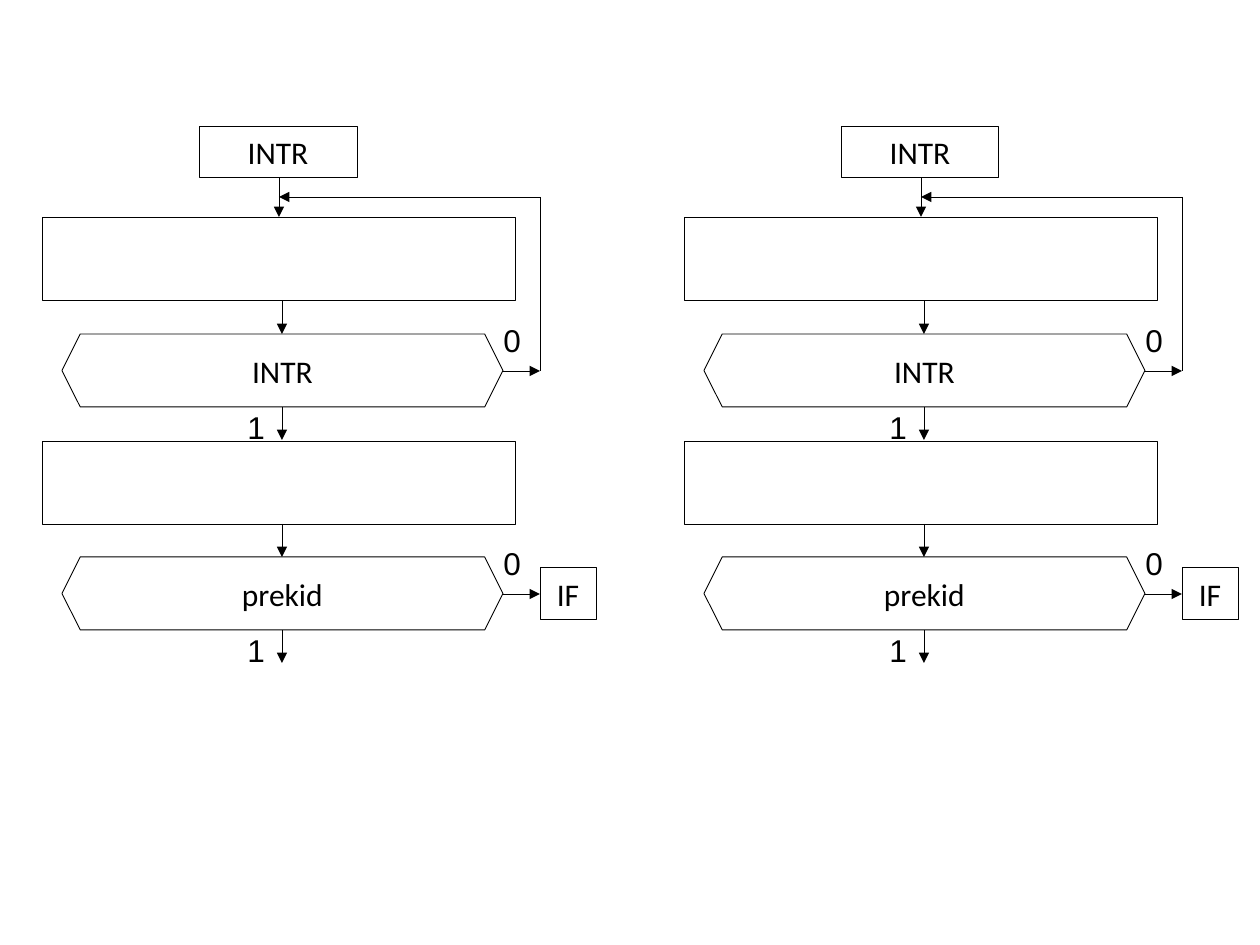
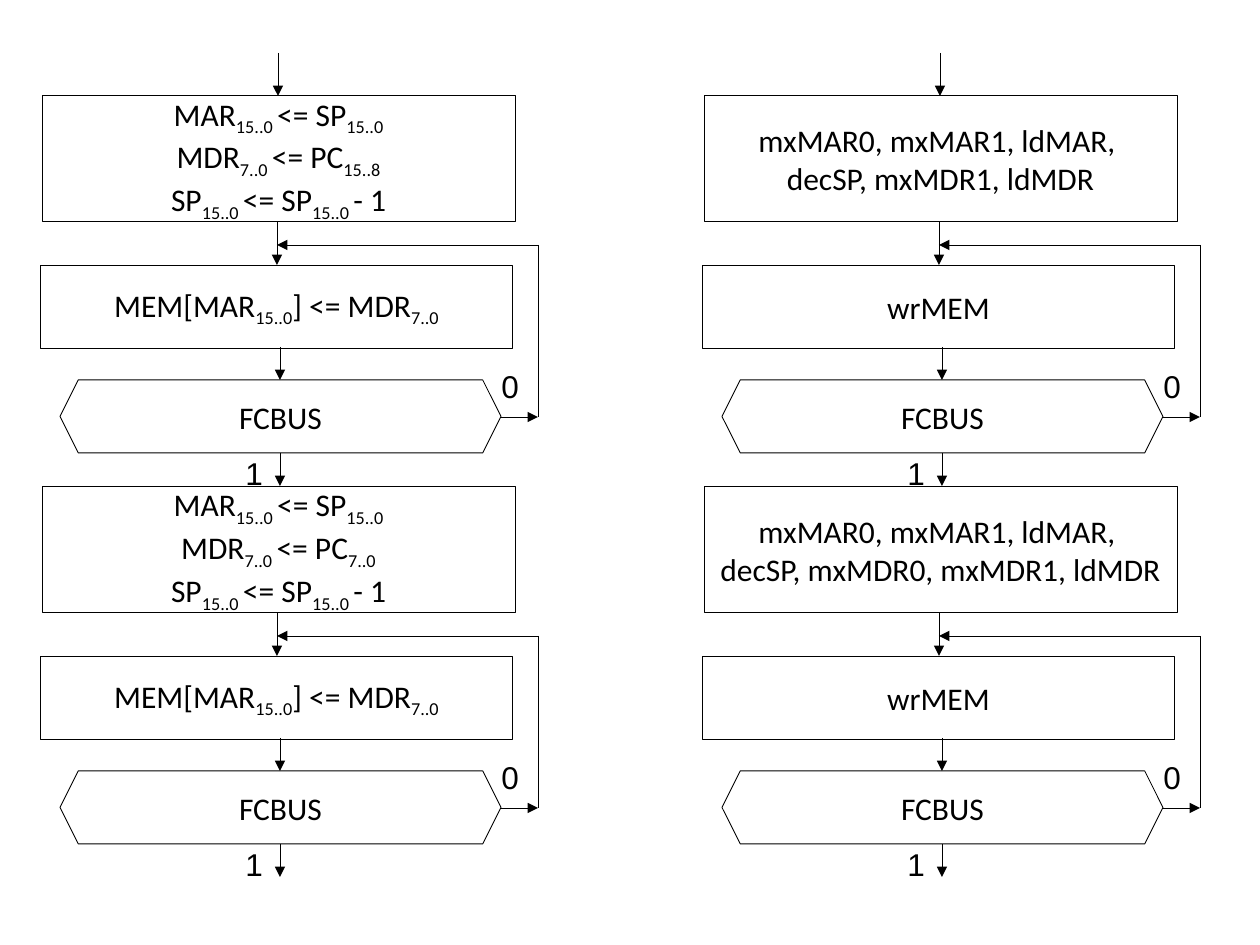
from dataclasses import dataclass

from lxml.etree import SubElement
from pptx import Presentation
from pptx.dml.color import RGBColor
from pptx.enum.shapes import MSO_CONNECTOR, MSO_SHAPE
from pptx.enum.text import MSO_ANCHOR, MSO_AUTO_SIZE, PP_ALIGN
from pptx.oxml.ns import qn
from pptx.util import Pt

BLACK = RGBColor(0x00, 0x00, 0x00)
WHITE = RGBColor(0xFF, 0xFF, 0xFF)
BOX_FONT, LABEL_FONT = "Calibri", "Arial"
FONT_SIZE, LINE_WIDTH = Pt(18), Pt(0.5)

# Sizes in pixels; x offsets count from the left corner of a column's hexagons
BOX_W, BOX_H, TALL_H = 473, 84, 126
HEX_W, HEX_H = 441, 73
SMALL_H = 52
AXIS, ENTRY = 220, 217      # main arrows, arrows entering a loop
LOOP_X = 478                # right edge of the loop and of the "0" branch
ARROW = 33


def px(n: float) -> int:
    return round(n * 914400 / 126)


@dataclass(frozen=True)
class Test:
    text: str
    y: int


@dataclass(frozen=True)
class Transfer:
    """One memory write: prepare registers, then store until the bus is free."""
    prepare: tuple[str, ...]
    store: str


# Drawing helpers
def add_text(tf, lines: tuple[str, ...], font: str, align=None) -> None:
    """Set one paragraph per line; text between underscores is subscript."""
    for i, line in enumerate(lines):
        p = tf.paragraphs[0] if i == 0 else tf.add_paragraph()
        p.alignment = align
        p.font.name, p.font.size = font, FONT_SIZE
        p.font.color.rgb = BLACK
        for j, part in enumerate(line.split("_")):
            if part:
                r = p.add_run()
                r.text = part
                if j % 2:
                    r.font._element.set("baseline", "-25000")


def add_box(shapes, x: int, y: int, w: int, h: int,
            lines: tuple[str, ...] = (), kind=MSO_SHAPE.RECTANGLE) -> None:
    sp = shapes.add_shape(kind, px(x), px(y), px(w), px(h))
    sp.shadow.inherit = False
    sp.fill.solid()
    sp.fill.fore_color.rgb = WHITE
    sp.line.color.rgb = BLACK
    sp.line.width = LINE_WIDTH
    sp.text_frame.vertical_anchor = MSO_ANCHOR.MIDDLE
    add_text(sp.text_frame, lines, BOX_FONT, PP_ALIGN.CENTER)


def add_line(shapes, x1: int, y1: int, x2: int, y2: int, head: bool = True) -> None:
    cn = shapes.add_connector(MSO_CONNECTOR.STRAIGHT, px(x1), px(y1), px(x2), px(y2))
    cn.line.color.rgb = BLACK
    cn.line.width = LINE_WIDTH
    if head:
        SubElement(cn.line._get_or_add_ln(), qn("a:tailEnd"), type="triangle")
    SubElement(cn._element.spPr, qn("a:effectLst"))


def add_label(shapes, x: int, y: int, text: str) -> None:
    tf = shapes.add_textbox(px(x), px(y), px(43), px(50)).text_frame
    tf.word_wrap = False
    tf.auto_size = MSO_AUTO_SIZE.SHAPE_TO_FIT_TEXT
    add_text(tf, (text,), LABEL_FONT)


# Flowchart parts
def add_test(s, x: int, test: Test) -> None:
    """Hexagon with its arrow in, arrow out (1) and side branch (0)."""
    shapes = s.shapes.add_group_shape().shapes
    y, mid, bottom = test.y, test.y + 37, test.y + HEX_H
    add_box(shapes, x, y, HEX_W, HEX_H, (test.text,), MSO_SHAPE.HEXAGON)
    add_line(shapes, x + HEX_W, mid, x + LOOP_X, mid)
    add_line(shapes, x + AXIS, bottom, x + AXIS, bottom + ARROW)
    add_label(shapes, x + 429, y - 19, "0")
    add_label(shapes, x + 173, y + 68, "1")
    add_line(shapes, x + AXIS, y - ARROW, x + AXIS, y)


def add_loop(s, x: int, top: int, test: Test) -> None:
    """Lead the 0 branch of a test back up to the entry arrow."""
    add_line(s.shapes, x + LOOP_X, top, x + LOOP_X, test.y + 37, head=False)
    add_line(s.shapes, x + LOOP_X, top, x + ENTRY, top)


def add_interrupt_flow(s, x: int) -> None:
    request, interrupt = Test("INTR", 334), Test("prekid", 557)
    add_box(s.shapes, x + 137, 126, 158, SMALL_H, ("INTR",))
    add_line(s.shapes, x + ENTRY, 178, x + ENTRY, 217)
    add_box(s.shapes, x - 20, 217, BOX_W, BOX_H)
    add_test(s, x, request)
    add_loop(s, x, 197, request)
    add_box(s.shapes, x - 20, 441, BOX_W, BOX_H)
    add_test(s, x, interrupt)
    add_box(s.shapes, x + LOOP_X, 568, 56, SMALL_H, ("IF",))


def add_transfer(s, x: int, y: int, transfer: Transfer) -> None:
    store_y = y + 169
    bus_free = Test("FCBUS", y + 284)
    add_box(s.shapes, x - 18, y, BOX_W, TALL_H, transfer.prepare)
    add_box(s.shapes, x - 20, store_y, BOX_W, BOX_H, (transfer.store,))
    add_line(s.shapes, x + ENTRY, y + TALL_H, x + ENTRY, store_y)
    add_test(s, x, bus_free)
    add_loop(s, x, y + 149, bus_free)


def register_transfer(pc_bits: str) -> Transfer:
    return Transfer(("MAR_15..0 _<= SP_15..0_",
                     f"MDR_7..0 _<= PC_{pc_bits}_",
                     "SP_15..0 _<= SP_15..0 _- 1"),
                    "MEM[MAR_15..0_] <= MDR_7..0_")


def signal_transfer(last_line: str) -> Transfer:
    return Transfer(("mxMAR0, mxMAR1, ldMAR, ", last_line), "wrMEM")


prs = Presentation()
prs.slide_width, prs.slide_height = px(1260), px(945)
blank = prs.slide_layouts[6]

# Slide 1: the interrupt request, twice
s = prs.slides.add_slide(blank)
for x in (62, 704):
    add_interrupt_flow(s, x)

# Slide 2: saving PC, as register transfers and as control signals
COLUMNS = {
    60: (register_transfer("15..8"), register_transfer("7..0")),
    722: (signal_transfer("decSP, mxMDR1, ldMDR"),
          signal_transfer("decSP, mxMDR0, mxMDR1, ldMDR")),
}
FIRST_Y, PERIOD = 96, 391
s = prs.slides.add_slide(blank)
for x, transfers in COLUMNS.items():
    add_line(s.shapes, x + 218, 53, x + 218, FIRST_Y)
    for i, transfer in enumerate(transfers):
        add_transfer(s, x, FIRST_Y + i * PERIOD, transfer)

prs.save("out.pptx")
